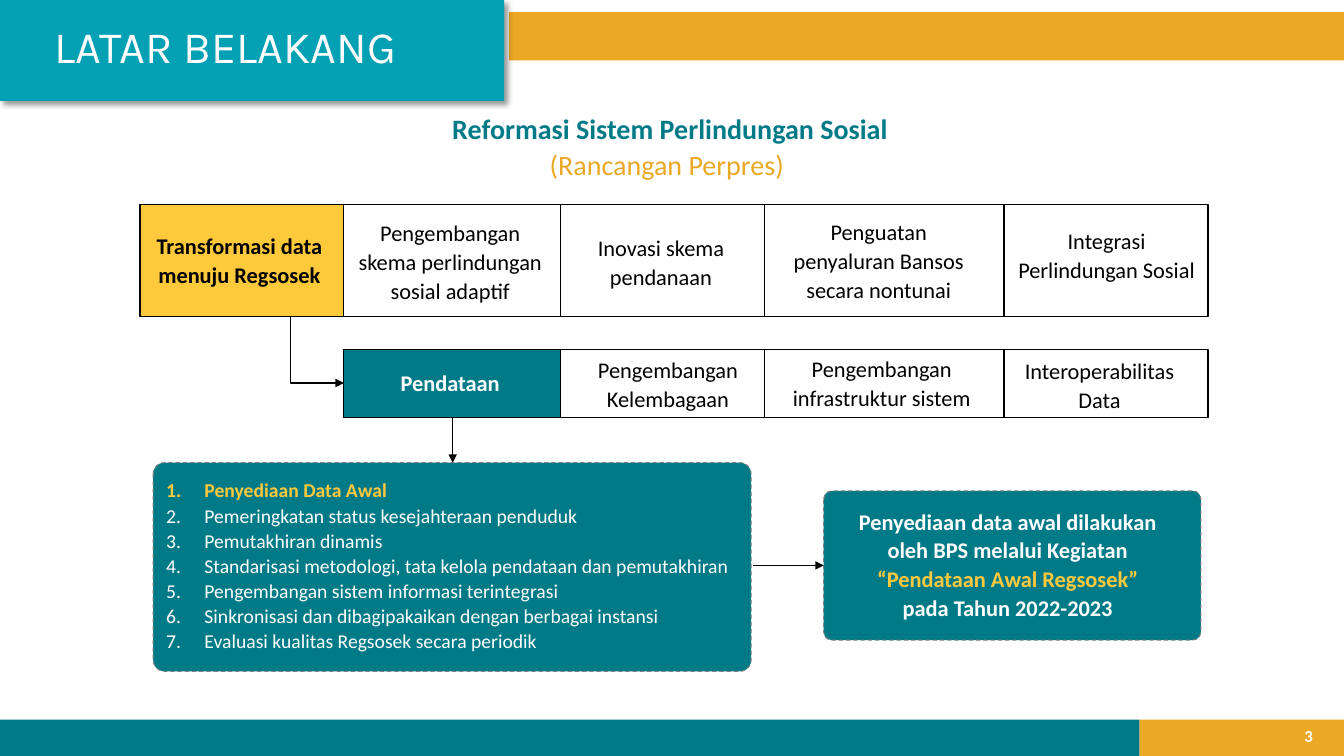
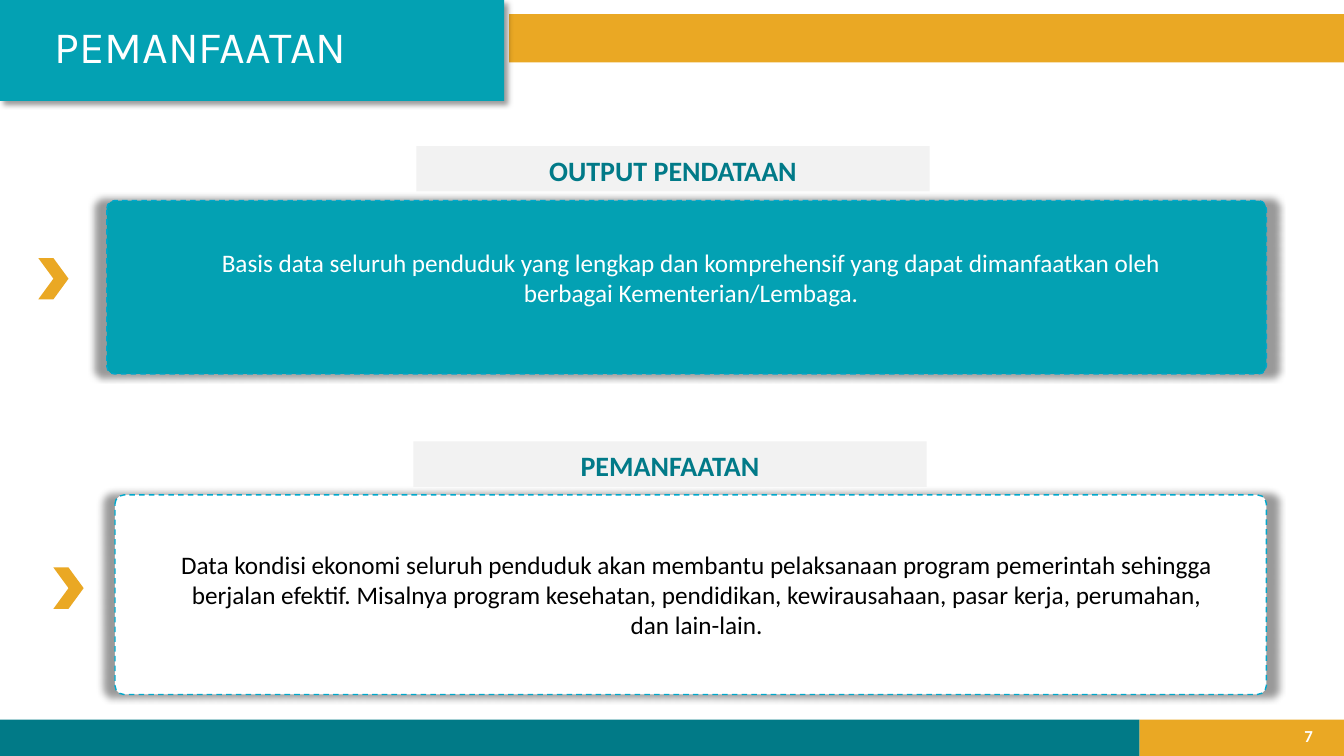
from math import cos, sin, radians
from itertools import pairwise
from lxml import etree
from pptx import Presentation
from pptx.dml.color import RGBColor
from pptx.enum.dml import MSO_LINE
from pptx.enum.shapes import MSO_CONNECTOR as LINK, MSO_SHAPE as SHAPE
from pptx.enum.text import MSO_ANCHOR as ANCHOR, MSO_AUTO_SIZE as FIT, PP_ALIGN as ALIGN
from pptx.oxml.ns import qn
from pptx.util import Inches, Pt

COLORS = {
    "teal": "017A88", "footer": "017A87", "aqua": "03A1B3", "cyan": "00A8CC",
    "gold": "EAA824", "yellow": "FFC93C", "white": "FFFFFF", "black": "000000",
    "gray": "7F7F7F", "pale": "F2F2F2",
}
WIDTH, HEIGHT = 13.33, 7.5
FOOTER_TOP, FOOTER_SPLIT = 7.14, 11.3
BANNER_WIDTH, BANNER_HEIGHT, CURVE_LEFT = 5.57, 0.96, 4.76
LOOSE = 1.07


def color(name):
    return RGBColor.from_string(COLORS[name])


def inches(*lengths):
    return [Inches(length) for length in lengths]


# Shared drawing helpers
def add_element(parent, tag, **attributes):
    return etree.SubElement(parent, qn(tag), attributes)


def paint(shape, fill, line=None, weight=1, dashed=False):
    shape.shadow.inherit = False
    shape.fill.solid()
    shape.fill.fore_color.rgb = color(fill)
    if line is None:
        shape.line.fill.background()
        return
    shape.line.color.rgb = color(line)
    shape.line.width = Pt(weight)
    if dashed:
        shape.line.dash_style = MSO_LINE.DASH


def add_panel(slide, kind, box, fill, line=None, weight=1, dashed=False, corner=None):
    panel = slide.shapes.add_shape(kind, *inches(*box))
    paint(panel, fill, line, weight, dashed)
    if corner is not None:
        panel.adjustments[0] = corner
    return panel


def cast_shadow(shape, blur, distance=0, angle=0, scale=100):
    effects = shape.element.spPr.find(qn("a:effectLst"))
    shadow = add_element(
        effects, "a:outerShdw", blurRad=str(Pt(blur)), dist=str(Pt(distance)),
        dir=str(angle * 60000), sx=str(scale * 1000), sy=str(scale * 1000),
        algn="ctr" if scale != 100 else "tl", rotWithShape="0")
    shade = add_element(shadow, "a:srgbClr", val=COLORS["black"])
    add_element(shade, "a:alpha", val="40000")


def add_arrow(slide, start, end, kind=LINK.STRAIGHT):
    arrow = slide.shapes.add_connector(kind, *inches(*start, *end))
    arrow.line.color.rgb = color("black")
    arrow.line.width = Pt(0.75)
    add_element(arrow.line._get_or_add_ln(), "a:tailEnd", type="triangle")
    add_element(arrow.element.spPr, "a:effectLst")


def style(paragraph, size, ink, bold=False, align=ALIGN.CENTER, spacing=None, face="Calibri"):
    paragraph.alignment = align
    if spacing:
        paragraph.line_spacing = spacing
    font = paragraph.font
    font.name, font.size, font.bold = face, Pt(size), bold
    font.color.rgb = color(ink)


def add_text(slide, box, text, size, ink, **options):
    frame = slide.shapes.add_textbox(*inches(*box)).text_frame
    frame.word_wrap = True
    frame.text = text
    style(frame.paragraphs[0], size, ink, **options)
    return frame


def add_runs(paragraph, runs):
    for text, ink, bold in runs:
        run = paragraph.add_run()
        run.text = text
        run.font.bold = bold
        run.font.color.rgb = color(ink)


# Frame of every slide: bands, title banner, page number
def add_banner(slide):
    radius = BANNER_WIDTH - CURVE_LEFT
    curve = [(CURVE_LEFT + radius * cos(radians(a)), BANNER_HEIGHT * sin(radians(a)))
             for a in range(0, 91, 3)]
    outline = slide.shapes.build_freeform(0, 0, scale=Inches(1))
    outline.add_line_segments(curve + [(0, BANNER_HEIGHT)], close=True)
    banner = outline.convert_to_shape()
    paint(banner, "aqua")
    cast_shadow(banner, blur=4, distance=3, angle=45)


def add_title(slide, text):
    title = slide.shapes.title
    title.left, title.top, title.width, title.height = inches(0.44, 0.14, 4.29, 0.64)
    frame = title.text_frame
    frame.text = text
    frame.word_wrap, frame.auto_size = True, FIT.NONE
    frame.vertical_anchor = ANCHOR.TOP
    style(frame.paragraphs[0], 32, "white", align=ALIGN.LEFT, face="Karla")
    slide.shapes.element.append(title.element)  # in front of the banner


def start_slide(deck, title, number, band_top):
    slide = deck.slides.add_slide(deck.slide_layouts[5])
    footer_height = HEIGHT - FOOTER_TOP
    for box, fill in [
        ((FOOTER_SPLIT, FOOTER_TOP, WIDTH - FOOTER_SPLIT, footer_height), "gold"),
        ((0, FOOTER_TOP, FOOTER_SPLIT, footer_height), "footer"),
        ((5.05, band_top, WIDTH - 5.05, 0.48), "gold"),
    ]:
        add_panel(slide, SHAPE.RECTANGLE, box, fill)
    page = add_text(slide, (12.65, 7.1, 0.47, 0.4), number, 12, "white",
                    bold=True, align=ALIGN.RIGHT)
    page.vertical_anchor = ANCHOR.MIDDLE
    add_banner(slide)
    add_title(slide, title)
    return slide


# Background slide: reform steps, data collection steps, tasks
COLUMN_EDGES = [1.39, 3.41, 5.56, 7.58, 9.96, 11.98]

# Each label: wording, left, top, width and height of its text
REFORM_STEPS = [
    ("Transformasi data menuju Regsosek", 1.39, 2.24, 1.97, 0.66),
    ("Pengembangan skema perlindungan sosial adaptif", 3.37, 2.11, 2.19, 0.95),
    ("Inovasi skema pendanaan", 5.48, 2.26, 2.15, 0.66),
    ("Penguatan penyaluran Bansos secara nontunai", 7.62, 2.1, 2.19, 0.95),
    ("Integrasi Perlindungan Sosial", 9.88, 2.19, 2.19, 0.66),
]
DATA_STEPS = [
    ("Pendataan", 3.37, 3.59, 2.19, 0.38),
    ("Pengembangan Kelembagaan", 5.53, 3.47, 2.19, 0.66),
    ("Pengembangan infrastruktur sistem", 7.65, 3.46, 2.19, 0.66),
    ("Interoperabilitas Data", 9.9, 3.48, 2.01, 0.66),
]
TASKS = [
    "Penyediaan Data Awal ",
    "Pemeringkatan status kesejahteraan penduduk",
    "Pemutakhiran dinamis",
    "Standarisasi metodologi, tata kelola pendataan dan pemutakhiran",
    "Pengembangan sistem informasi terintegrasi",
    "Sinkronisasi dan dibagipakaikan dengan berbagai instansi",
    "Evaluasi kualitas Regsosek secara periodik",
]


def add_step_row(slide, edges, top, height, steps, lead_fill, lead_ink):
    for i, (left, right) in enumerate(pairwise(edges)):
        add_panel(slide, SHAPE.RECTANGLE, (left, top, right - left, height),
                  "white" if i else lead_fill, "black")
    for i, (text, *box) in enumerate(steps):
        add_text(slide, box, text, 16, "black" if i else lead_ink,
                 bold=i == 0, spacing=LOOSE)


def add_task_panel(slide, left, top, width, height):
    add_panel(slide, SHAPE.ROUNDED_RECTANGLE, (left, top, width, height),
              "teal", "gray", 0.75, True, corner=0.054)
    area = slide.shapes.add_textbox(*inches(left + 0.03, top + 0.09, width, height - 0.22))
    frame = area.text_frame
    frame.word_wrap = True
    frame.text = "\n".join(TASKS)
    for i, paragraph in enumerate(frame.paragraphs):
        ink = "white" if i else "yellow"
        paragraph.line_spacing = LOOSE
        properties = paragraph._p.get_or_add_pPr()
        properties.set("marL", str(Inches(0.38)))
        properties.set("indent", str(Inches(-0.38)))
        number_color = add_element(properties, "a:buClr")
        add_element(number_color, "a:srgbClr", val=COLORS[ink])
        add_element(properties, "a:buFont", typeface="+mj-lt")
        add_element(properties, "a:buAutoNum", type="arabicPeriod")
        style(paragraph, 14, ink, bold=i == 0, align=ALIGN.LEFT)


def add_activity_panel(slide, left, top, width, height):
    add_panel(slide, SHAPE.ROUNDED_RECTANGLE, (left, top, width, height),
              "teal", "gray", 0.75, True, corner=0.054)
    activity = add_text(slide, (left + 0.19, top + 0.1, 3.27, 1.24), "", 16, "white",
                        bold=True, spacing=LOOSE)
    add_runs(activity.paragraphs[0], [
        ("Penyediaan data awal dilakukan oleh BPS melalui Kegiatan ", "white", True),
        ("“Pendataan Awal Regsosek” ", "yellow", True),
        ("pada Tahun 2022-2023", "white", True),
    ])


def build_background(deck):
    slide = start_slide(deck, "LATAR BELAKANG", "3", band_top=0.12)
    heading = add_text(slide, (4.1, 1.03, 5.09, 0.81), "", 20, "teal", spacing=LOOSE)
    add_runs(heading.paragraphs[0], [
        ("Reformasi Sistem Perlindungan Sosial ", "teal", True),
        ("(Rancangan Perpres) ", "gold", False),
    ])
    add_arrow(slide, (2.35, 3.14), (3.41, 3.8), LINK.ELBOW)
    add_step_row(slide, COLUMN_EDGES, 2.03, 1.11, REFORM_STEPS, "yellow", "black")
    add_step_row(slide, COLUMN_EDGES[1:], 3.47, 0.67, DATA_STEPS, "teal", "white")
    add_task_panel(slide, 1.52, 4.59, 5.93, 2.07)
    add_activity_panel(slide, 8.17, 4.87, 3.74, 1.48)
    add_arrow(slide, (4.49, 4.14), (4.49, 4.59))
    add_arrow(slide, (7.47, 5.61), (8.17, 5.61))


# Use slide: two headed cards, each with a chevron
def add_card(slide, box, fill, ink, heading, heading_box, body, body_box, chevron):
    card = add_panel(slide, SHAPE.ROUNDED_RECTANGLE, box, fill, "cyan", 1, True, corner=0.045)
    cast_shadow(card, blur=5, scale=102)
    add_panel(slide, SHAPE.CHEVRON, (*chevron, 0.3, 0.41), "gold", corner=0.5)
    label = add_panel(slide, SHAPE.RECTANGLE, (*heading_box, 5.09, 0.45), "pale").text_frame
    label.text = heading
    label.vertical_anchor = ANCHOR.TOP
    style(label.paragraphs[0], 20, "teal", bold=True, spacing=LOOSE)
    add_text(slide, body_box, body, 18, ink)


def build_use(deck):
    slide = start_slide(deck, "PEMANFAATAN", "7", band_top=0.14)
    add_card(slide, (1.06, 1.99, 11.5, 1.72), "aqua", "white",
             "OUTPUT PENDATAAN", (4.13, 1.45),
             "Basis data seluruh penduduk yang lengkap dan komprehensif yang dapat "
             "dimanfaatkan oleh berbagai Kementerian/Lembaga.",
             (1.72, 2.4, 10.27, 0.71), chevron=(0.38, 2.56))
    add_card(slide, (1.14, 4.91, 11.42, 1.98), "white", "black",
             "PEMANFAATAN", (4.1, 4.38),
             "Data kondisi ekonomi seluruh penduduk akan membantu pelaksanaan program "
             "pemerintah sehingga berjalan efektif. Misalnya program kesehatan, pendidikan, "
             "kewirausahaan, pasar kerja, perumahan, dan lain-lain.",
             (1.63, 5.4, 10.56, 1.01), chevron=(0.53, 5.63))


deck = Presentation()
deck.slide_width, deck.slide_height = inches(WIDTH, HEIGHT)
build_background(deck)
build_use(deck)
deck.save("out.pptx")
